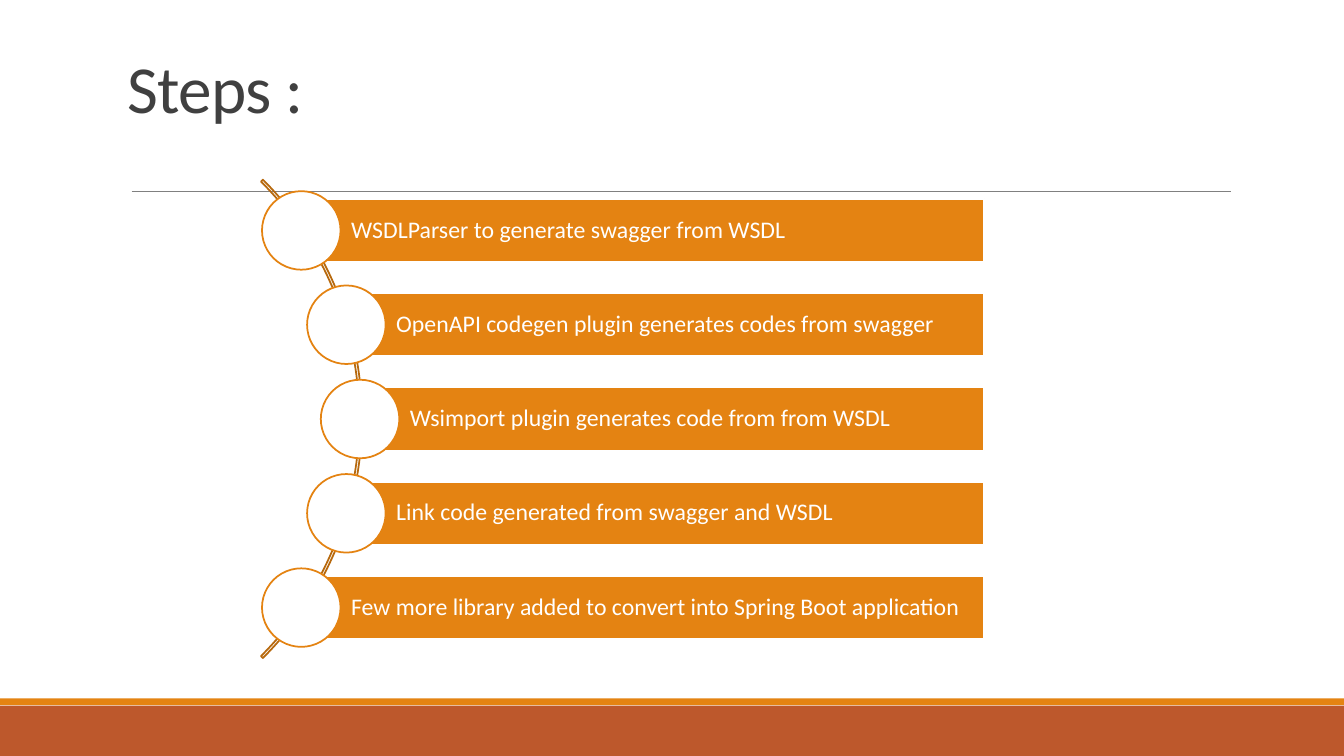
from pptx import Presentation
from pptx.dml.color import RGBColor
from pptx.enum.shapes import MSO_CONNECTOR, MSO_SHAPE
from pptx.enum.text import MSO_ANCHOR, PP_ALIGN
from pptx.oxml.ns import qn
from pptx.util import Pt
from lxml import etree

RECTANGLE = MSO_SHAPE.RECTANGLE
ELLIPSE = MSO_SHAPE.OVAL
BLOCK_ARC = MSO_SHAPE.BLOCK_ARC
STRAIGHT = MSO_CONNECTOR.STRAIGHT
MIDDLE = MSO_ANCHOR.MIDDLE
BOTTOM = MSO_ANCHOR.BOTTOM
LEFT = PP_ALIGN.LEFT

WIDTH, HEIGHT = 960, 540
COLORS = {
    "white": "FFFFFF",
    "orange": "E48312",
    "rust": "BD582C",
    "arc": "B7690E",
    "rule": "808080",
    "title": "404040",
}
STEPS = [
    (215.2, "WSDLParser to generate swagger from WSDL"),
    (247.4, "OpenAPI codegen plugin generates codes from swagger"),
    (257.2, "Wsimport plugin generates code from from WSDL"),
    (247.4, "Link code generated from swagger and WSDL"),
    (215.2, "Few more library added to convert into Spring Boot application"),
]
FIRST_CENTER, STEP_PITCH = 164.6, 67.35
BAR_RIGHT, BAR_HEIGHT, CIRCLE_SIZE = 703, 44.9, 56.1


class SlideBuilder:
    font_name = "Calibri"
    line_width = 1.25

    def __init__(self, slide):
        self.slide = slide

    def color(self, name):
        return RGBColor.from_string(COLORS[name])

    def shape(self, kind, left, top, width, height, fill=None, line=None):
        shape = self.slide.shapes.add_shape(kind, Pt(left), Pt(top), Pt(width), Pt(height))
        shape.shadow.inherit = False
        if fill:
            shape.fill.solid()
            shape.fill.fore_color.rgb = self.color(fill)
        else:
            shape.fill.background()
        if line:
            shape.line.color.rgb = self.color(line)
            shape.line.width = Pt(self.line_width)
        else:
            shape.line.fill.background()
        return shape

    def rule(self, left, right, top):
        rule = self.slide.shapes.add_connector(STRAIGHT, Pt(left), Pt(top), Pt(right), Pt(top))
        rule.line.color.rgb = self.color("rule")
        rule.line.width = Pt(0.5)
        etree.SubElement(rule._element.spPr, qn("a:effectLst"))

    def set_text(self, shape, text, size, color, anchor, line_spacing):
        frame = shape.text_frame
        frame.word_wrap = True
        frame.vertical_anchor = anchor
        paragraph = frame.paragraphs[0]
        paragraph.text = text
        paragraph.alignment = LEFT
        paragraph.line_spacing = line_spacing
        paragraph.font.name = self.font_name
        paragraph.font.size = Pt(size)
        paragraph.font.color.rgb = self.color(color)
        return paragraph

    def title(self, text, left, top, width, height):
        box = self.slide.shapes.add_textbox(Pt(left), Pt(top), Pt(width), Pt(height))
        paragraph = self.set_text(box, text, 48, "title", BOTTOM, 0.85)
        paragraph.runs[0].font._element.set("spc", "-50")

    def arc(self, left, top, size):
        arc = self.shape(BLOCK_ARC, left, top, size, size, line="arc")
        for index, value in enumerate((189, 27, 0.004)):
            arc.adjustments[index] = value

    def step(self, center_x, center_y, text):
        bar = self.shape(RECTANGLE, center_x, center_y - BAR_HEIGHT / 2,
                         BAR_RIGHT - center_x, BAR_HEIGHT, "orange", "white")
        self.set_text(bar, text, 17, "white", MIDDLE, 0.9)
        frame = bar.text_frame
        frame.margin_left = Pt(35.6)
        frame.margin_right = frame.margin_top = frame.margin_bottom = Pt(3.6)
        radius = CIRCLE_SIZE / 2
        self.shape(ELLIPSE, center_x - radius, center_y - radius,
                   CIRCLE_SIZE, CIRCLE_SIZE, "white", "orange")


def main():
    presentation = Presentation()
    presentation.slide_width = Pt(WIDTH)
    presentation.slide_height = Pt(HEIGHT)
    builder = SlideBuilder(presentation.slides.add_slide(presentation.slide_layouts[6]))

    builder.shape(RECTANGLE, 0, 504, WIDTH, 36, "rust")
    builder.shape(RECTANGLE, 0, 498.8, WIDTH, 5, "orange")
    builder.rule(94, 879, 136.8)
    builder.title("Steps :", 84, 37.5, 792, 57)

    builder.arc(-224.6, 57.6, 483.2)
    for index, (center_x, text) in enumerate(STEPS):
        builder.step(center_x, FIRST_CENTER + index * STEP_PITCH, text)

    presentation.save("out.pptx")


if __name__ == "__main__":
    main()
